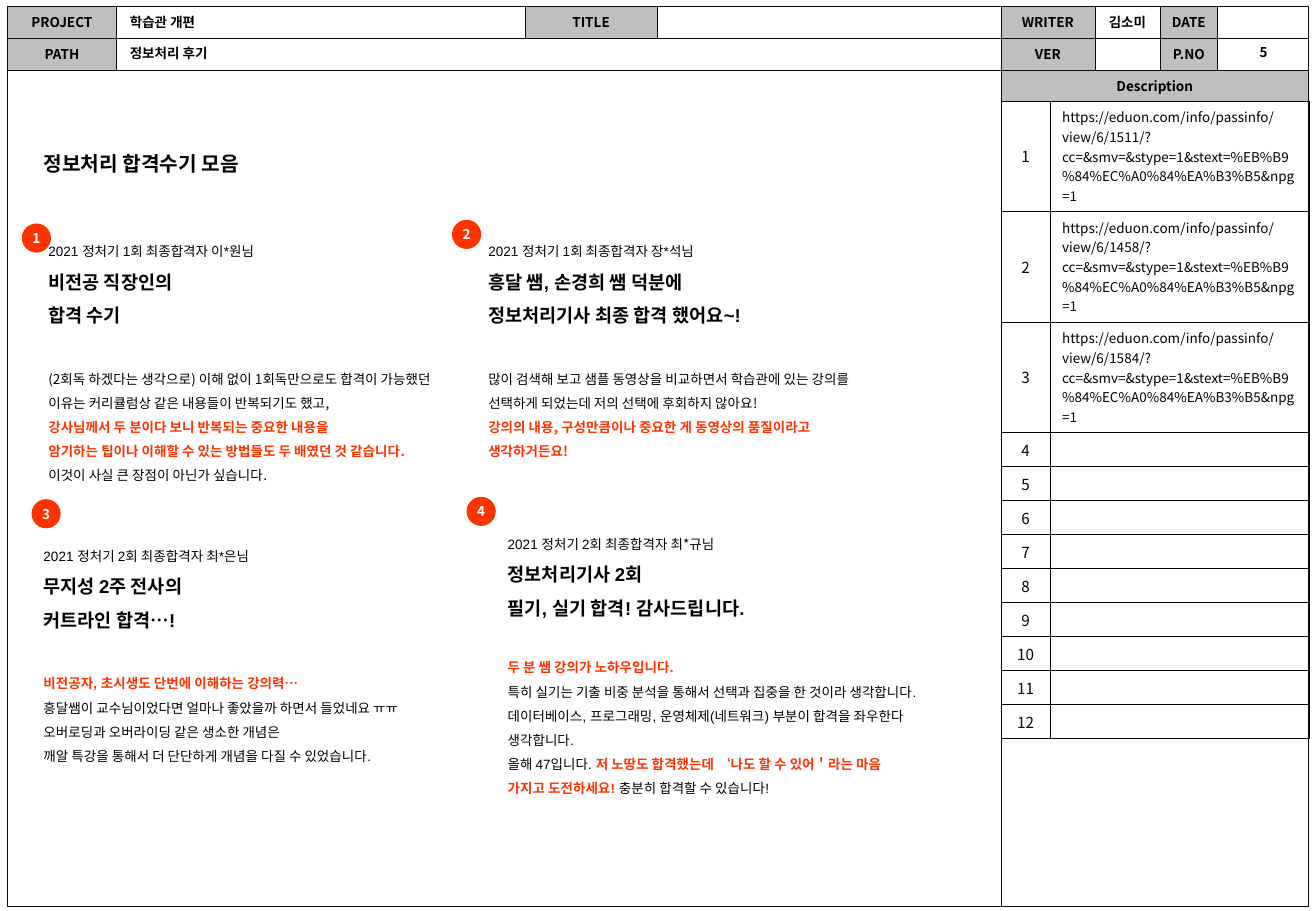
from lxml import etree
from pptx import Presentation
from pptx.dml.color import RGBColor
from pptx.enum.shapes import MSO_SHAPE
from pptx.enum.text import MSO_ANCHOR, PP_ALIGN
from pptx.oxml.ns import qn
from pptx.util import Inches, Pt

OVAL = MSO_SHAPE.OVAL
MIDDLE = MSO_ANCHOR.MIDDLE
LEFT, CENTER = PP_ALIGN.LEFT, PP_ALIGN.CENTER
BLACK = RGBColor(0x00, 0x00, 0x00)
WHITE = RGBColor(0xFF, 0xFF, 0xFF)
GREY = RGBColor(0xBF, 0xBF, 0xBF)
RED = RGBColor(0xFF, 0x33, 0x00)
SANS, KOREAN = "Arial", "Noto Sans CJK KR"
LINE_RATIO = 1.79

HEADER_COLUMNS = [0.9, 3.36, 1.09, 2.83, 0.77, 0.54, 0.47, 0.75]
HEADER_ROWS = [0.26, 0.26, 0.26, 6.62]
HEADER_LABELS = {
    (0, 0): "PROJECT", (0, 2): "TITLE", (0, 4): "WRITER", (0, 5): "김소미", (0, 6): "DATE",
    (1, 0): "PATH", (1, 4): "VER", (1, 6): "P.NO", (2, 4): "Description",
}
HEADER_MERGES = [((1, 1), (1, 3)), ((2, 0), (3, 3)), ((2, 4), (2, 7)), ((3, 4), (3, 7))]
HEADER_VALUES = [
    ("5", 10.02, 0.31, 0.76, CENTER),
    ("학습관 개편", 0.97, 0.07, 3.19, LEFT),
    ("정보처리 후기", 0.97, 0.32, 7.2, LEFT),
]
LINK = "https://eduon.com/info/passinfo/view/6/{}/?cc=&smv=&stype=1&stext=%EB%B9%84%EC%A0%84%EA%B3%B5&npg=1"
LINK_IDS = [1511, 1458, 1584]
DESCRIPTION_COUNT = 12

REVIEWS = [
    dict(box=(0.3, 1.89, 3.46, 2.14), badge=(0.18, 1.84), body_font=KOREAN, gap=21.6,
         author=[("2021 정처기 1회 최종합격자 이*원님", SANS)], author_line=14.3,
         headings=["비전공 직장인의", "합격 수기"],
         body=[
             [("(2회독 하겠다는 생각으로) 이해 없이 1회독만으로도 합격이 가능했던 이유는 "
               "커리큘럼상 같은 내용들이 반복되기도 했고,", BLACK)],
             [("강사님께서 두 분이다 보니 반복되는 중요한 내용을", RED)],
             [("암기하는 팁이나 이해할 수 있는 방법들도 두 배였던 것 같습니다.", RED)],
             [("이것이 사실 큰 장점이 아닌가 싶습니다.", BLACK)]]),
    dict(box=(3.92, 1.89, 3.46, 1.94), badge=(3.72, 1.81), body_font=KOREAN, gap=21.6,
         author=[("2021 정처기 1회 최종합격자 장*석님", SANS)], author_line=14.3,
         headings=["흥달 쌤, 손경희 쌤 덕분에", "정보처리기사 최종 합격 했어요~!"],
         body=[
             [("많이 검색해 보고 샘플 동영상을 비교하면서 학습관에 있는 강의를 선택하게 되었는데 "
               "저의 선택에 후회하지 않아요!", BLACK)],
             [("강의의 내용, 구성만큼이나 중요한 게 동영상의 품질이라고 생각하거든요!", RED)]]),
    dict(box=(0.26, 4.4, 3.54, 1.94), badge=(0.26, 4.11), body_font=SANS, gap=21.6,
         author=[("2021 정처기 2회 최종합격자 최*은님", SANS)], author_line=14.3,
         headings=["무지성 2주 전사의", "커트라인 합격…!"],
         body=[
             [("비전공자, 초시생도 단번에 이해하는 강의력…", RED)],
             [("흥달쌤이 교수님이었다면 얼마나 좋았을까 하면서 들었네요 ㅠㅠ", BLACK)],
             [("오버로딩과 오버라이딩 같은 생소한 개념은", BLACK)],
             [("깨알 특강을 통해서 더 단단하게 개념을 다질 수 있었습니다.", BLACK)]]),
    dict(box=(4.08, 4.36, 3.6, 2.25), badge=(3.84, 4.09), body_font=SANS, gap=19.3,
         author=[("2021 정처기 2회 최종합격자", SANS), (" 최*규님", KOREAN)], author_line=10,
         headings=["정보처리기사 2회", "필기, 실기 합격! 감사드립니다."],
         body=[
             [("두 분 쌤 강의가 노하우입니다.", RED)],
             [("특히 실기는 기출 비중 분석을 통해서 선택과 집중을 한 것이라 생각합니다. "
               "데이터베이스, 프로그래밍, 운영체제(네트워크) 부분이 합격을 좌우한다 생각합니다.", BLACK)],
             [("올해 47입니다. ", BLACK),
              ("저 노땅도 합격했는데 ‘나도 할 수 있어＇라는 마음 가지고 도전하세요! ", RED),
              ("충분히 합격할 수 있습니다!", BLACK)]]),
]


def add_run(paragraph, text, size=8, font=KOREAN, color=BLACK, bold=False):
    """Append one formatted run, with a Korean face for Hangul."""
    run = paragraph.add_run()
    run.text = text
    run.font.size, run.font.name, run.font.bold = Pt(size), font, bold
    run.font.color.rgb = color
    latin = run.font._element.find(qn("a:latin"))
    latin.addnext(latin.makeelement(qn("a:ea"), {"typeface": KOREAN}))


def add_text_box(slide, left, top, width, height):
    """Add a wrapping text box and return its text frame."""
    shape = slide.shapes.add_textbox(Inches(left), Inches(top), Inches(width), Inches(height))
    shape.text_frame.word_wrap = True
    return shape.text_frame


def add_table(slide, left, top, columns, rows, border):
    """Add an unfilled table whose cells all have a hairline border."""
    table = slide.shapes.add_table(len(rows), len(columns), Inches(left), Inches(top),
                                   Inches(sum(columns)), Inches(sum(rows))).table
    table.first_row = table.horz_banding = False
    for column, width in zip(table.columns, columns):
        column.width = Inches(width)
    for row, height in zip(table.rows, rows):
        row.height = Inches(height)
    for cell in table.iter_cells():
        properties = cell._tc.get_or_add_tcPr()
        for side in ("lnL", "lnR", "lnT", "lnB"):
            line = etree.SubElement(properties, qn(f"a:{side}"), w="3175")
            fill = etree.SubElement(line, qn("a:solidFill"))
            etree.SubElement(fill, qn("a:srgbClr"), val=border)
        cell.fill.background()
        cell.vertical_anchor = MIDDLE
    return table


def fill_cell(cell, text, size=8, align=CENTER, bold=False):
    """Write a cell's text, or give an empty cell a small line height."""
    paragraph = cell.text_frame.paragraphs[0]
    paragraph.alignment = align
    if text:
        add_run(paragraph, text, size, bold=bold)
    else:
        etree.SubElement(paragraph._p, qn("a:endParaRPr"), sz=str(size * 100))


def add_header(slide):
    """Add the page frame with its labels and values."""
    table = add_table(slide, 0.06, 0.05, HEADER_COLUMNS, HEADER_ROWS, "0D0D0D")
    for (first, last) in HEADER_MERGES:
        table.cell(*first).merge(table.cell(*last))
    for row in range(len(HEADER_ROWS)):
        for column in range(len(HEADER_COLUMNS)):
            cell = table.cell(row, column)
            label = HEADER_LABELS.get((row, column))
            cell.margin_left = cell.margin_right = 0
            fill_cell(cell, label, bold=True)
            if label and column != 5:
                cell.fill.solid()
                cell.fill.fore_color.rgb = GREY
    for text, left, top, width, align in HEADER_VALUES:
        paragraph = add_text_box(slide, left, top, width, 0.24).paragraphs[0]
        paragraph.alignment = align
        add_run(paragraph, text, bold=True)


def add_descriptions(slide):
    """Add the numbered list of links."""
    links = [LINK.format(number) for number in LINK_IDS]
    links += [""] * (DESCRIPTION_COUNT - len(links))
    rows = [0.91 if link else 0.28 for link in links]
    table = add_table(slide, 8.24, 0.83, [0.4, 2.13], rows, "000000")
    for index, link in enumerate(links):
        fill_cell(table.cell(index, 0), str(index + 1), size=9)
        fill_cell(table.cell(index, 1), link, align=LEFT)


def add_review(slide, review):
    """Add one review: author, two heading lines and body."""
    text_frame = add_text_box(slide, *review["box"])
    author = text_frame.paragraphs[0]
    author.line_spacing = Pt(review["author_line"])
    for text, font in review["author"]:
        add_run(author, text, font=font)
    for heading in review["headings"]:
        paragraph = text_frame.add_paragraph()
        paragraph.line_spacing = Pt(11 * LINE_RATIO)
        add_run(paragraph, heading, 11, SANS, bold=True)
    for index, runs in enumerate(review["body"]):
        paragraph = text_frame.add_paragraph()
        paragraph.line_spacing = Pt(8 * LINE_RATIO)
        if index == 0:
            paragraph.space_before = Pt(review["gap"])
        for text, color in runs:
            add_run(paragraph, text, 8, review["body_font"], color, color == RED)


def add_badge(slide, number, left, top):
    """Add a numbered red circle."""
    shape = slide.shapes.add_shape(OVAL, Inches(left), Inches(top), Inches(0.24), Inches(0.24))
    shape.shadow.inherit = False
    shape.fill.solid()
    shape.fill.fore_color.rgb = RED
    shape.line.fill.background()
    frame = shape.text_frame
    frame.margin_left = frame.margin_right = frame.margin_top = frame.margin_bottom = 0
    frame.word_wrap = False
    frame.vertical_anchor = MIDDLE
    frame.paragraphs[0].alignment = CENTER
    add_run(frame.paragraphs[0], str(number), color=WHITE, bold=True)


def main():
    """Build the storyboard slide."""
    presentation = Presentation()
    presentation.slide_width, presentation.slide_height = Inches(10.83), Inches(7.5)
    slide = presentation.slides.add_slide(presentation.slide_layouts[6])
    add_header(slide)
    add_descriptions(slide)
    for review in REVIEWS:
        add_review(slide, review)
    for number, review in enumerate(REVIEWS, 1):
        add_badge(slide, number, *review["badge"])
    title = add_text_box(slide, 0.26, 1.1, 3.46, 0.36).paragraphs[0]
    title.line_spacing = Pt(12 * LINE_RATIO)
    add_run(title, "정보처리 합격수기 모음", 12, SANS, bold=True)
    presentation.save("out.pptx")


if __name__ == "__main__":
    main()
